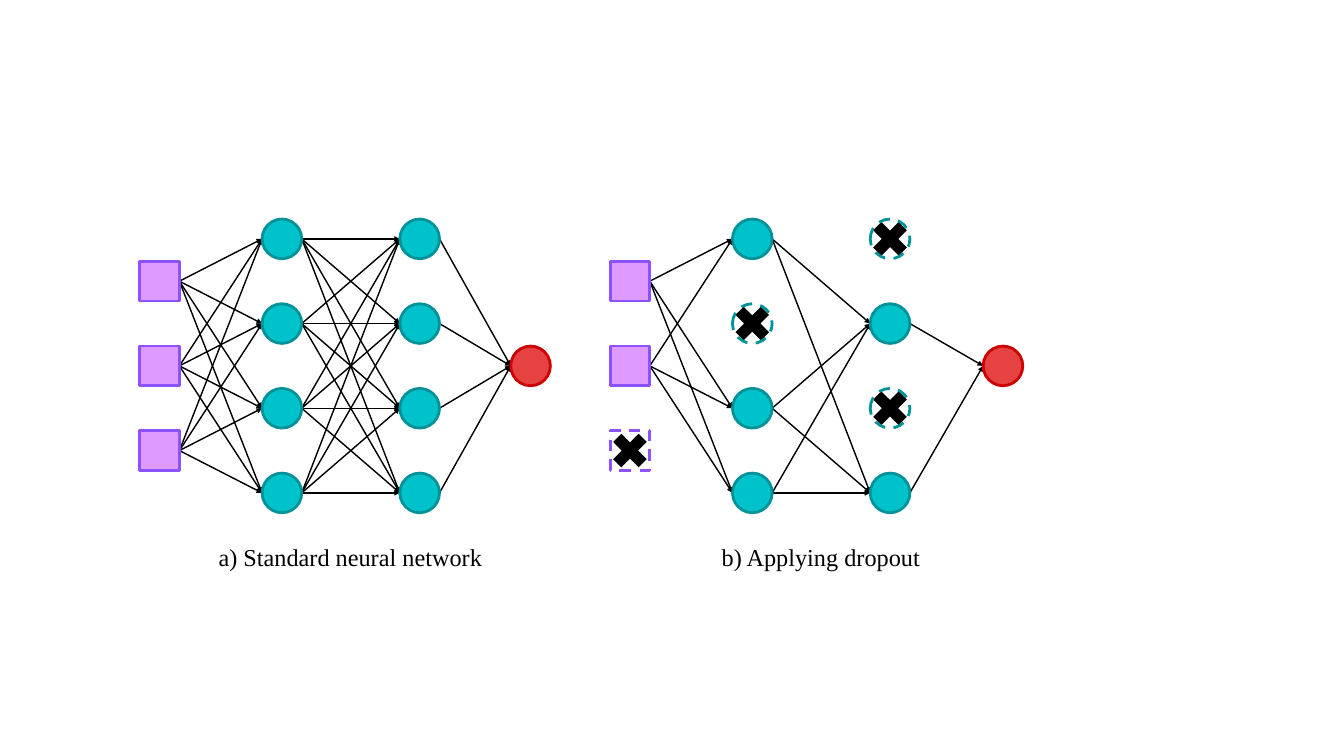
import itertools

import pptx
import pptx.dml.color
import pptx.enum.dml
import pptx.enum.shapes
import pptx.enum.text
import pptx.oxml
import pptx.oxml.ns
import pptx.util

EMU_PER_PX = 9144  # 100 px to the inch
NODE = 59
CROSS = 73
ROW_PITCH = 126
HIDDEN_ROWS = 4

SHAPES = pptx.enum.shapes.MSO_SHAPE
INPUT_STYLE = (SHAPES.RECTANGLE, "DF9AFF", "8C52FF")
HIDDEN_STYLE = (SHAPES.OVAL, "00C2CB", "009299")
OUTPUT_STYLE = (SHAPES.OVAL, "E64242", "CC0000")


def px(*lengths):
    return [pptx.util.Emu(length * EMU_PER_PX) for length in lengths]


def paint(color_format, hex_color):
    color_format.rgb = pptx.dml.color.RGBColor.from_string(hex_color)


def add_cross(slide, left, top):
    """Mark the node at left, top as dropped."""
    inset = (CROSS - NODE) // 2
    cross = slide.shapes.add_shape(
        SHAPES.MATH_MULTIPLY, *px(left - inset, top - inset, CROSS, CROSS))
    cross.adjustments[0] = 0.235
    cross.shadow.inherit = False
    cross.fill.solid()
    paint(cross.fill.fore_color, "000000")
    cross.line.fill.background()


def add_node(slide, left, top, style, dropped):
    preset, fill, outline = style
    node = slide.shapes.add_shape(preset, *px(left, top, NODE, NODE))
    node.shadow.inherit = False
    paint(node.line.color, outline)
    node.line.width = pptx.util.Pt(3)
    if dropped:
        node.fill.background()
        node.line.dash_style = pptx.enum.dml.MSO_LINE.DASH
    else:
        node.fill.solid()
        paint(node.fill.fore_color, fill)
    return node


def add_edge(slide, source, target):
    edge = slide.shapes.add_connector(
        pptx.enum.shapes.MSO_CONNECTOR.STRAIGHT,
        source.left + source.width, source.top + source.height // 2,
        target.left, target.top + target.height // 2)
    if source.auto_shape_type == SHAPES.RECTANGLE:
        edge.begin_connect(source, 3)
    paint(edge.line.color, "000000")
    edge.line.width = pptx.util.Pt(1.5)
    # Arrowhead at the target, no shadow
    namespace = pptx.oxml.ns.nsdecls("a")
    edge.line._get_or_add_ln().append(
        pptx.oxml.parse_xml(f'<a:tailEnd {namespace} type="triangle"/>'))
    edge.element.spPr.append(pptx.oxml.parse_xml(f"<a:effectLst {namespace}/>"))


def add_caption(slide, left, top, text):
    caption = slide.shapes.add_textbox(*px(left, top, 509, 64))
    frame = caption.text_frame
    frame.word_wrap = True
    frame.vertical_anchor = pptx.enum.text.MSO_ANCHOR.MIDDLE
    frame.margin_left, frame.margin_top, frame.margin_right, frame.margin_bottom = px(
        10, 10, 10, 10)
    paragraph = frame.paragraphs[0]
    paragraph.text = text
    paragraph.alignment = pptx.enum.text.PP_ALIGN.CENTER
    paragraph.font.name = "Times New Roman"
    paragraph.font.size = pptx.util.Pt(26)
    paint(paragraph.font.color, "000000")


def add_network(slide, left, top, output_offset, caption, dropped=()):
    """Draw a 3-4-4-1 network; dropped holds (layer, row) pairs."""
    layers = [(0, 3, INPUT_STYLE), (182, HIDDEN_ROWS, HIDDEN_STYLE),
              (387, HIDDEN_ROWS, HIDDEN_STYLE), (output_offset, 1, OUTPUT_STYLE)]

    # Nodes, each layer centred on the hidden layers
    nodes, active = [], []
    for layer, (offset, rows, style) in enumerate(layers):
        layer_top = top + (HIDDEN_ROWS - rows) * ROW_PITCH // 2
        active.append([])
        for row in range(rows):
            spot = (left + offset, layer_top + row * ROW_PITCH)
            is_dropped = (layer, row) in dropped
            if is_dropped:
                add_cross(slide, *spot)
            node = add_node(slide, *spot, style, is_dropped)
            nodes.append(node)
            if not is_dropped:
                active[-1].append(node)

    # Edges between neighbouring layers
    for sources, targets in itertools.pairwise(active):
        for source, target in itertools.product(sources, targets):
            add_edge(slide, source, target)

    # Nodes go in front of the edges
    for node in nodes:
        node.element.getparent().append(node.element)

    add_caption(slide, left + NODE, top + 470, caption)


def main():
    deck = pptx.Presentation()
    deck.slide_width, deck.slide_height = px(2000, 1125)
    slide = deck.slides.add_slide(deck.slide_layouts[6])

    add_network(slide, 208, 326, 552, "a) Standard neural network")
    add_network(slide, 908, 326, 555, "b) Applying dropout",
                dropped={(0, 2), (1, 1), (2, 0), (2, 2)})

    deck.save("out.pptx")


if __name__ == "__main__":
    main()
